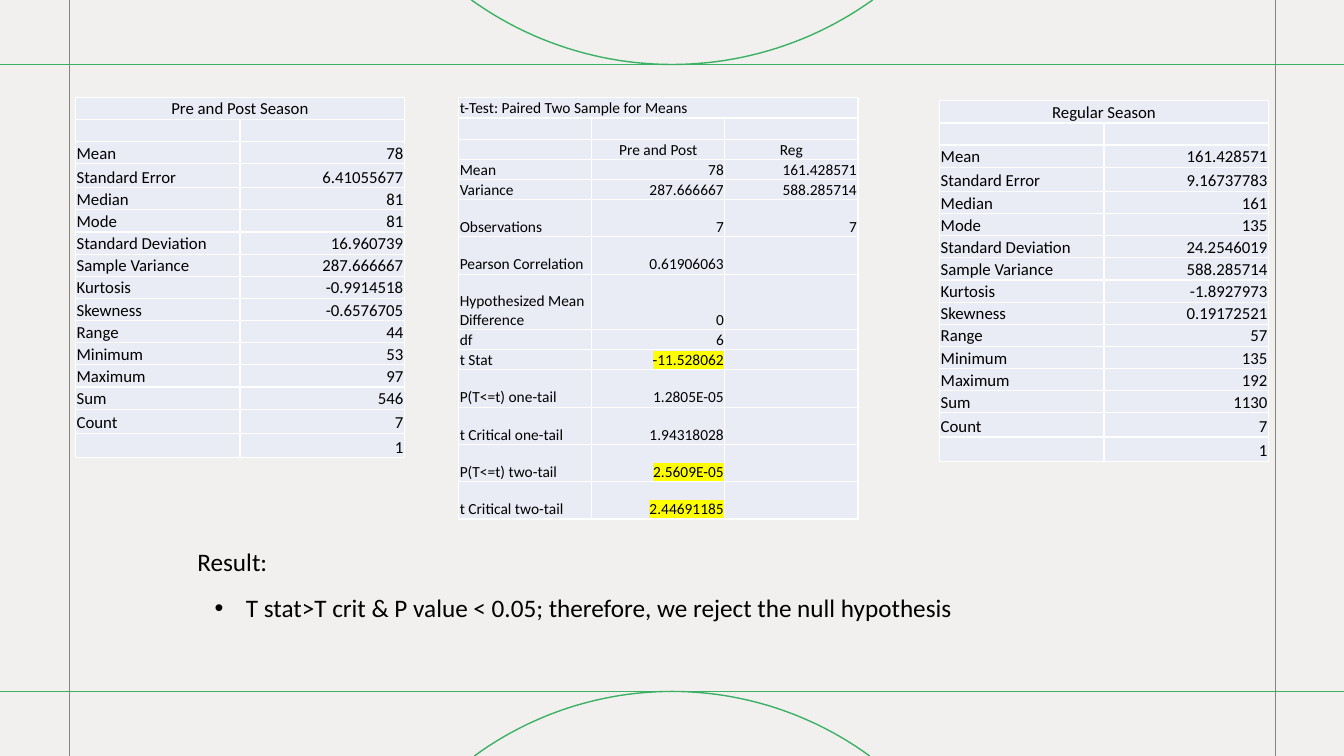
"""Build a slide comparing pre and post season with regular season statistics."""
import math
from dataclasses import dataclass

import lxml.etree
import pptx
import pptx.dml.color
import pptx.enum.shapes
import pptx.enum.text
import pptx.oxml.ns
import pptx.presentation
import pptx.shapes.autoshape
import pptx.slide
import pptx.table
import pptx.text.text
import pptx.util

Inches = pptx.util.Inches
Pt = pptx.util.Pt
Align = pptx.enum.text.PP_ALIGN
qn = pptx.oxml.ns.qn

WIDTH, HEIGHT = 13.33, 7.5
TOP_LINE, BOTTOM_LINE = 0.64, 6.86
LEFT_LINE, RIGHT_LINE = 0.69, 12.65
GREEN, PAPER, CELL, WHITE, BLACK, YELLOW = "3BB163", "F1F0EE", "E9ECF5", "FFFFFF", "000000", "FFFF00"
ARC_STEPS = 48

STATISTICS = ["Mean", "Standard Error", "Median", "Mode", "Standard Deviation", "Sample Variance", "Kurtosis",
              "Skewness", "Range", "Minimum", "Maximum", "Sum", "Count", ""]
PRE_POST = ["78", "6.41055677", "81", "81", "16.960739", "287.666667", "-0.9914518", "-0.6576705",
            "44", "53", "97", "546", "7", "1"]
REGULAR = ["161.428571", "9.16737783", "161", "135", "24.2546019", "588.285714", "-1.8927973", "0.19172521",
           "57", "135", "192", "1130", "7", "1"]
T_TEST = [
    ("", "Pre and Post", "Reg"),
    ("Mean", "78", "161.428571"),
    ("Variance", "287.666667", "588.285714"),
    ("Observations", "7", "7"),
    ("Pearson Correlation", "0.61906063", ""),
    ("Hypothesized Mean Difference", "0", ""),
    ("df", "6", ""),
    ("t Stat", "-11.528062", ""),
    ("P(T<=t) one-tail", "1.2805E-05", ""),
    ("t Critical one-tail", "1.94318028", ""),
    ("P(T<=t) two-tail", "2.5609E-05", ""),
    ("t Critical two-tail", "2.44691185", ""),
]
HIGHLIGHTED = {"-11.528062", "2.5609E-05", "2.44691185"}


@dataclass
class StatTable:
    left: float
    top: float
    column_width: float
    row_heights: list[float]
    title: str
    title_align: Align
    rows: list[tuple[str, ...]]
    font_size: int
    header_rows: int = 0


@dataclass
class Note:
    left: float
    top: float
    width: float
    text: str
    bulleted: bool = False


def summary_table(left: float, top: float, title_height: float, title: str, values: list[str]) -> StatTable:
    heights = [title_height, 0.22, 0.22, 0.24] + [0.22] * 10 + [0.24] * 2
    return StatTable(left, top, 1.63, heights, title, Align.CENTER, list(zip(STATISTICS, values)), 12)


TABLES = [
    summary_table(0.75, 0.97, 0.2, "Pre and Post Season", PRE_POST),
    summary_table(9.32, 1, 0.22, "Regular Season", REGULAR),
    StatTable(4.55, 0.97, 1.32, [0.2, 0.21] + [0.2] * 3 + [0.37] * 2 + [0.55] + [0.2] * 2 + [0.37] * 4,
              "t-Test: Paired Two Sample for Means", Align.LEFT, T_TEST, 11, 1),
]
NOTES = [
    Note(2.03, 5.83, 8.31, "T stat>T crit & P value < 0.05; therefore, we reject the null hypothesis", True),
    Note(1.86, 5.37, 0.97, "Result:"),
]
GUIDES = [
    (0, BOTTOM_LINE, WIDTH, BOTTOM_LINE),
    (0, TOP_LINE, WIDTH, TOP_LINE),
    (RIGHT_LINE, HEIGHT, RIGHT_LINE, 0),
    (LEFT_LINE, HEIGHT, LEFT_LINE, 0),
]


def color(value: str) -> pptx.dml.color.RGBColor:
    return pptx.dml.color.RGBColor.from_string(value)


def apply_format(target: object, values: dict[str, object]) -> None:
    for name, value in values.items():
        setattr(target, name, value)


def add_guide(slide: pptx.slide.Slide, ends: tuple[float, float, float, float]) -> None:
    line = slide.shapes.add_connector(pptx.enum.shapes.MSO_CONNECTOR.STRAIGHT, *map(Inches, ends))
    line.line.color.rgb = color(GREEN)
    line.line.width = Pt(1)
    lxml.etree.SubElement(line._element.spPr, qn("a:effectLst"))


def add_court_arc(slide: pptx.slide.Slide, edge: float, apex: float, half_width: float) -> None:
    depth = apex - edge
    radius = (half_width ** 2 + depth ** 2) / (2 * abs(depth))
    sign = math.copysign(1, depth)
    sweep = math.asin(half_width / radius)
    angles = [sweep * (2 * step / ARC_STEPS - 1) for step in range(ARC_STEPS + 1)]
    points = [(Inches(WIDTH / 2 + radius * math.sin(angle)),
               Inches(apex - sign * radius * (1 - math.cos(angle)))) for angle in angles]
    builder = slide.shapes.build_freeform(*points[0])
    builder.add_line_segments(points[1:], close=False)
    arc = builder.convert_to_shape()
    arc.shadow.inherit = False
    arc.fill.background()
    arc.line.color.rgb = color(GREEN)
    arc.line.width = Pt(1)


def add_text(paragraph: pptx.text.text._Paragraph, text: str, size: int) -> None:
    run = paragraph.add_run()
    run.text = text
    apply_format(run.font, {"size": Pt(size), "name": "Calibri"})
    run.font.color.rgb = color(BLACK)
    if text in HIGHLIGHTED:
        highlight = lxml.etree.Element(qn("a:highlight"))
        lxml.etree.SubElement(highlight, qn("a:srgbClr"), val=YELLOW)
        run._r.rPr.find(qn("a:solidFill")).addnext(highlight)


def fill_cell(cell: pptx.table._Cell, text: str, size: int, align: Align) -> None:
    apply_format(cell, {"margin_left": Inches(0.01), "margin_right": Inches(0.01), "margin_top": Inches(0.01),
                        "margin_bottom": 0, "vertical_anchor": pptx.enum.text.MSO_ANCHOR.BOTTOM})
    for side in ("lnL", "lnR", "lnT", "lnB"):
        border = lxml.etree.SubElement(cell._tc.tcPr, qn(f"a:{side}"), w=str(Pt(1)))
        fill = lxml.etree.SubElement(border, qn("a:solidFill"))
        lxml.etree.SubElement(fill, qn("a:srgbClr"), val=WHITE)
    cell.fill.solid()
    cell.fill.fore_color.rgb = color(CELL)
    paragraph = cell.text_frame.paragraphs[0]
    paragraph.alignment = align
    if text:
        add_text(paragraph, text, size)
    else:
        lxml.etree.SubElement(paragraph._p, qn("a:endParaRPr"), sz=str(size * 100))


def add_stat_table(slide: pptx.slide.Slide, data: StatTable) -> None:
    columns = len(data.rows[0])
    blank = ("",) * columns
    rows = [(data.title,) + blank[1:], blank] + data.rows
    table = slide.shapes.add_table(len(rows), columns, Inches(data.left), Inches(data.top),
                                   Inches(data.column_width * columns), Inches(sum(data.row_heights))).table
    apply_format(table, {"first_row": False, "horz_banding": False})
    for column in table.columns:
        column.width = Inches(data.column_width)
    for index, (height, texts) in enumerate(zip(data.row_heights, rows)):
        table.rows[index].height = Inches(height)
        for position, text in enumerate(texts):
            align = Align.RIGHT if position else Align.LEFT
            if index == 0:
                align = data.title_align
            elif index < 2 + data.header_rows:
                align = Align.CENTER
            fill_cell(table.cell(index, position), text, data.font_size, align)
    table.cell(0, 0).merge(table.cell(0, columns - 1))


def add_note(slide: pptx.slide.Slide, note: Note) -> None:
    box = slide.shapes.add_textbox(Inches(note.left), Inches(note.top), Inches(note.width), Inches(0.4))
    apply_format(box.text_frame, {"word_wrap": False, "auto_size": pptx.enum.text.MSO_AUTO_SIZE.SHAPE_TO_FIT_TEXT})
    paragraph = box.text_frame.paragraphs[0]
    if note.bulleted:
        properties = paragraph._p.get_or_add_pPr()
        properties.set("marL", str(Inches(0.31)))
        properties.set("indent", str(-Inches(0.31)))
        lxml.etree.SubElement(properties, qn("a:buFont"), typeface="Arial")
        lxml.etree.SubElement(properties, qn("a:buChar"), char="•")
    add_text(paragraph, note.text, 18)


def main() -> None:
    presentation = pptx.Presentation()
    apply_format(presentation, {"slide_width": Inches(WIDTH), "slide_height": Inches(HEIGHT)})
    slide = presentation.slides.add_slide(presentation.slide_layouts[6])
    slide.background.fill.solid()
    slide.background.fill.fore_color.rgb = color(PAPER)
    for ends in GUIDES:
        add_guide(slide, ends)
    add_court_arc(slide, 0, TOP_LINE, 1.99)
    add_court_arc(slide, HEIGHT, BOTTOM_LINE, 1.96)
    for data in TABLES:
        add_stat_table(slide, data)
    for note in NOTES:
        add_note(slide, note)
    presentation.save("out.pptx")


if __name__ == "__main__":
    main()
